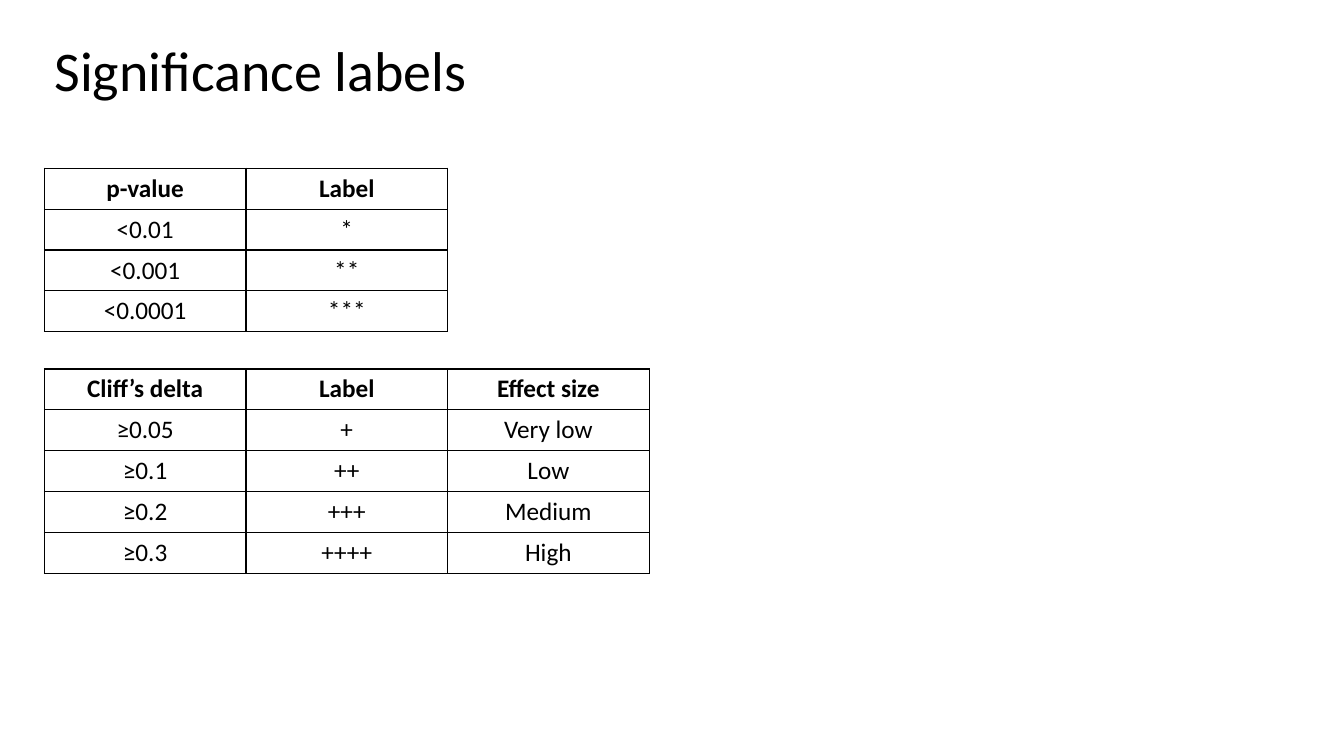
import dataclasses

import lxml.etree
import pptx
import pptx.dml.color
import pptx.enum.text
import pptx.oxml.ns
import pptx.util

Pt = pptx.util.Pt
RGB = pptx.dml.color.RGBColor
Align = pptx.enum.text.PP_ALIGN
Anchor = pptx.enum.text.MSO_ANCHOR
qn = pptx.oxml.ns.qn


@dataclasses.dataclass(frozen=True)
class Theme:
    font: str = "Calibri"
    ink: str = "000000"
    head: int = 40
    body: int = 18
    rule: int = 1


THEME = Theme()

# Shared grid, in points
LEFT = 31.7
COL = 144
ROW = 29.2

LEVELS = [
    ("p-value", "Label"),
    ("<0.01", "*"),
    ("<0.001", "**"),
    ("<0.0001", "***"),
]
EFFECTS = [
    ("Cliff’s delta", "Label", "Effect size"),
    ("≥0.05", "+", "Very low"),
    ("≥0.1", "++", "Low"),
    ("≥0.2", "+++", "Medium"),
    ("≥0.3", "++++", "High"),
]


def add_run(para, text, size, bold=False):
    run = para.add_run()
    run.text = text
    run.font.name = THEME.font
    run.font.size = Pt(size)
    run.font.bold = bold
    run.font.color.rgb = RGB.from_string(THEME.ink)


def set_title(slide, text):
    title = slide.shapes.title
    title.left, title.top = Pt(LEFT), Pt(0)
    title.width, title.height = Pt(862.6), Pt(104.4)
    frame = title.text_frame
    frame.word_wrap = True
    frame.vertical_anchor = Anchor.MIDDLE
    para = frame.paragraphs[0]
    para.alignment = Align.LEFT
    para.line_spacing = 0.9
    add_run(para, text, THEME.head)


def add_rules(cell):
    # Border lines come before the fill in the cell properties
    props = cell._tc.get_or_add_tcPr()
    for place, side in enumerate(("a:lnL", "a:lnR", "a:lnT", "a:lnB")):
        line = lxml.etree.Element(qn(side), w=str(Pt(THEME.rule)))
        fill = lxml.etree.SubElement(line, qn("a:solidFill"))
        lxml.etree.SubElement(fill, qn("a:srgbClr"), val=THEME.ink)
        props.insert(place, line)


def add_grid(slide, top, data):
    rows, cols = len(data), len(data[0])
    frame = slide.shapes.add_table(
        rows, cols, Pt(LEFT), Pt(top), Pt(cols * COL), Pt(rows * ROW))
    table = frame.table
    table.first_row = False
    table.horz_banding = False
    for col in table.columns:
        col.width = Pt(COL)
    for r, line in enumerate(data):
        table.rows[r].height = Pt(ROW)
        for c, text in enumerate(line):
            cell = table.cell(r, c)
            cell.fill.background()
            add_rules(cell)
            para = cell.text_frame.paragraphs[0]
            para.alignment = Align.CENTER
            add_run(para, text, THEME.body, bold=r == 0)


def main():
    deck = pptx.Presentation()
    deck.slide_width, deck.slide_height = Pt(960), Pt(540)
    slide = deck.slides.add_slide(deck.slide_layouts[5])

    # Heading
    set_title(slide, "Significance labels")

    # Label tables
    add_grid(slide, 120.2, LEVELS)
    add_grid(slide, 263.5, EFFECTS)

    deck.save("out.pptx")


if __name__ == "__main__":
    main()
